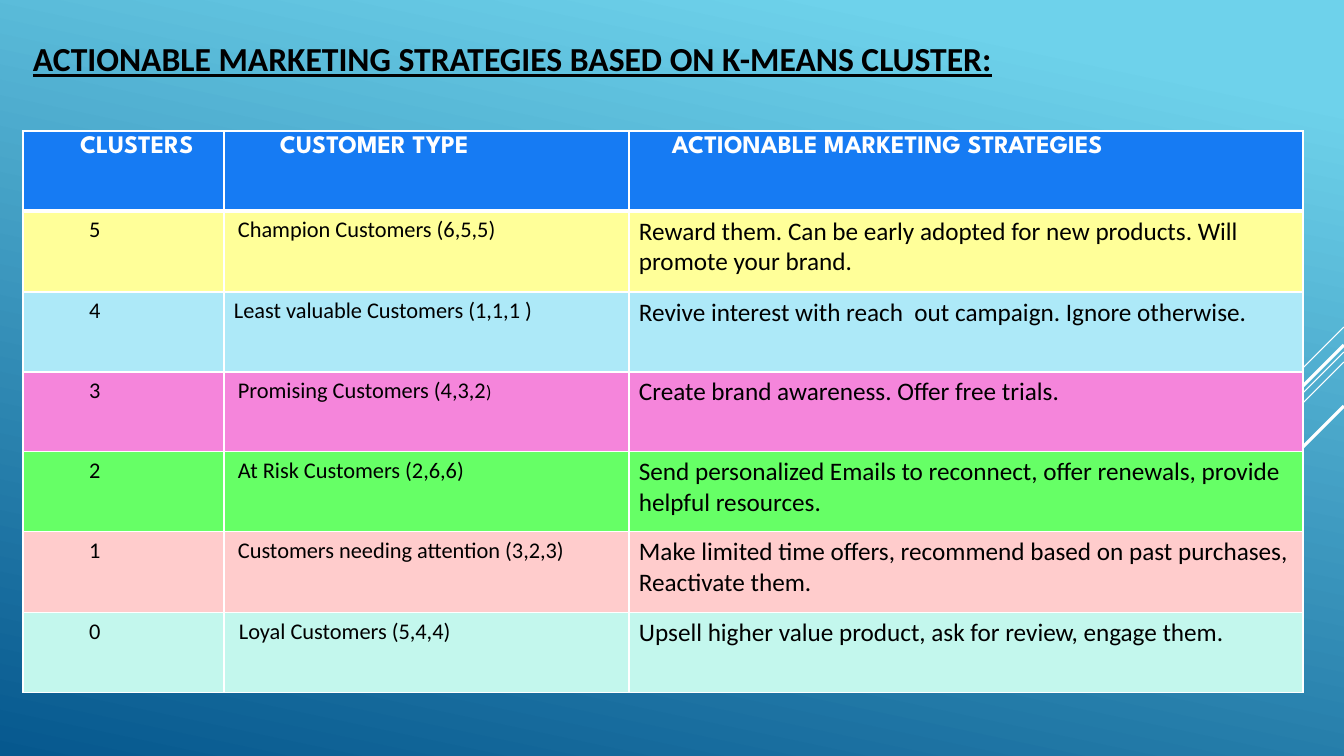
from lxml import etree
from pptx import Presentation
from pptx.dml.color import RGBColor
from pptx.enum.shapes import MSO_CONNECTOR
from pptx.enum.text import MSO_ANCHOR
from pptx.oxml.ns import qn
from pptx.util import Pt

STRAIGHT = MSO_CONNECTOR.STRAIGHT
MIDDLE = MSO_ANCHOR.MIDDLE
WIDTH, HEIGHT = 1344, 756
EMU_PER_PX = 914400 / 100.8
WHITE, BLACK, HEADER_BLUE = "FFFFFF", "000000", "167BF3"


def px(length):
    return round(length * EMU_PER_PX)


def color(hex_string):
    return RGBColor.from_string(hex_string)


class SlideBuilder:
    body_font = "Calibri"
    header_font = "League Spartan"

    def __init__(self, presentation):
        self.slide = presentation.slides.add_slide(presentation.slide_layouts[6])

    def background(self, stops, angle):
        fill = self.slide.background.fill
        fill.gradient()
        fill.gradient_angle = angle
        for stop, (position, hex_string) in zip(fill.gradient_stops, stops):
            stop.position = position
            stop.color.rgb = color(hex_string)

    def line(self, start, end, width):
        connector = self.slide.shapes.add_connector(STRAIGHT, *map(px, start + end))
        connector.line.color.rgb = color(WHITE)
        connector.line.width = Pt(width)
        etree.SubElement(connector._element.spPr, qn("a:effectLst"))

    def format_runs(self, paragraph, font, size, hex_string, bold):
        for run in paragraph.runs:
            run.font.name = font
            run.font.size = Pt(size)
            run.font.color.rgb = color(hex_string)
            run.font.bold = bold

    def title(self, text, left, top, width, height):
        box = self.slide.shapes.add_textbox(*map(px, (left, top, width, height)))
        text_frame = box.text_frame
        text_frame.word_wrap = True
        text_frame.vertical_anchor = MIDDLE
        text_frame.text = text
        paragraph = text_frame.paragraphs[0]
        paragraph.space_before = Pt(5)
        paragraph.space_after = Pt(6)
        self.format_runs(paragraph, self.body_font, 24, BLACK, True)
        paragraph.runs[0].font.underline = True

    def table(self, left, top, column_widths, row_edges):
        rows, columns = len(row_edges) - 1, len(column_widths)
        frame = self.slide.shapes.add_table(
            rows, columns, px(left), px(top), px(sum(column_widths)), px(row_edges[-1]))
        table = frame.table
        for column, width in zip(table.columns, column_widths):
            column.width = px(width)
        for row, start, end in zip(table.rows, row_edges, row_edges[1:]):
            row.height = px(end - start)
        return table

    def borders(self, cell, top, bottom):
        properties = cell._tc.get_or_add_tcPr()
        for side, width in (("L", 1), ("R", 1), ("T", top), ("B", bottom)):
            border = etree.SubElement(properties, qn(f"a:ln{side}"), w=str(Pt(width)))
            fill = etree.SubElement(border, qn("a:solidFill"))
            etree.SubElement(fill, qn("a:srgbClr"), val=WHITE)

    def cell(self, cell, text, fill, indent, size, header=False, top=1, bottom=1):
        self.borders(cell, top, bottom)
        cell.fill.solid()
        cell.fill.fore_color.rgb = color(fill)
        cell.margin_left = px(indent)
        cell.text_frame.text = text
        font = self.header_font if header else self.body_font
        text_color = WHITE if header else BLACK
        self.format_runs(cell.text_frame.paragraphs[0], font, size, text_color, header)

    def small_caps_ending(self, cell, text):
        paragraph = cell.text_frame.paragraphs[0]
        run = paragraph.add_run()
        run.text = text
        self.format_runs(paragraph, self.body_font, 16, BLACK, False)
        run.font._element.set("cap", "small")


# Rays: y at the right edge, horizontal and vertical reach, line width
RAYS = [(327, 101, 0.75), (352, 329, 0.75), (362, 209, 0.75),
        (345, 193, 2.25), (406, 140, 2.25)]

# Header text with its indent
HEADERS = [("CLUSTERS", 57), ("CUSTOMER TYPE", 56),
           ("ACTIONABLE MARKETING STRATEGIES", 43)]

# Cluster, customer type, type indent, strategy, fill
CLUSTERS = [
    ("5", "Champion Customers (6,5,5)", 14,
     "Reward them. Can be early adopted for new products. Will promote your brand.",
     "FFFF99"),
    ("4", "Least valuable Customers (1,1,1 )", 10,
     "Revive interest with reach  out campaign. Ignore otherwise.", "ADE9F8"),
    ("3", "Promising Customers (4,3,2", 14,
     "Create brand awareness. Offer free trials.", "F585DB"),
    ("2", "At Risk Customers (2,6,6)", 14,
     "Send personalized Emails to reconnect, offer renewals, provide helpful resources.",
     "66FF66"),
    ("1", "Customers needing attention (3,2,3)", 14,
     "Make limited time offers, recommend based on past purchases, Reactivate them.",
     "FFCCCC"),
    ("0", "Loyal Customers (5,4,4)", 15,
     "Upsell higher value product, ask for review, engage them.", "C3F7ED"),
]


def main():
    presentation = Presentation()
    presentation.slide_width = px(WIDTH)
    presentation.slide_height = px(HEIGHT)
    builder = SlideBuilder(presentation)

    # Background and diagonal rays
    builder.background([(0.1, "6ED2EB"), (1, "06588E")], 258)
    for y, reach, width in RAYS:
        builder.line((WIDTH, y), (WIDTH - reach, y + reach), width)

    # Title
    builder.title("ACTIONABLE MARKETING STRATEGIES BASED ON K-MEANS CLUSTER:",
                  23, 16, 1226, 85)

    # Table with evenly spaced rows
    row_count = len(CLUSTERS) + 1
    row_edges = [round(562 * index / row_count) for index in range(row_count + 1)]
    table = builder.table(23, 131, [201, 405, 674], row_edges)
    for column, (text, indent) in enumerate(HEADERS):
        builder.cell(table.cell(0, column), text, HEADER_BLUE, indent, 18,
                     header=True, bottom=3)
    for row, (cluster, customer, indent, strategy, fill) in enumerate(CLUSTERS, 1):
        top = 3 if row == 1 else 1
        contents = [(cluster, 66, 16), (customer, indent, 16), (strategy, 10, 18)]
        for column, (text, margin, size) in enumerate(contents):
            builder.cell(table.cell(row, column), text, fill, margin, size, top=top)
    builder.small_caps_ending(table.cell(3, 1), ")")

    presentation.save("out.pptx")


if __name__ == "__main__":
    main()
